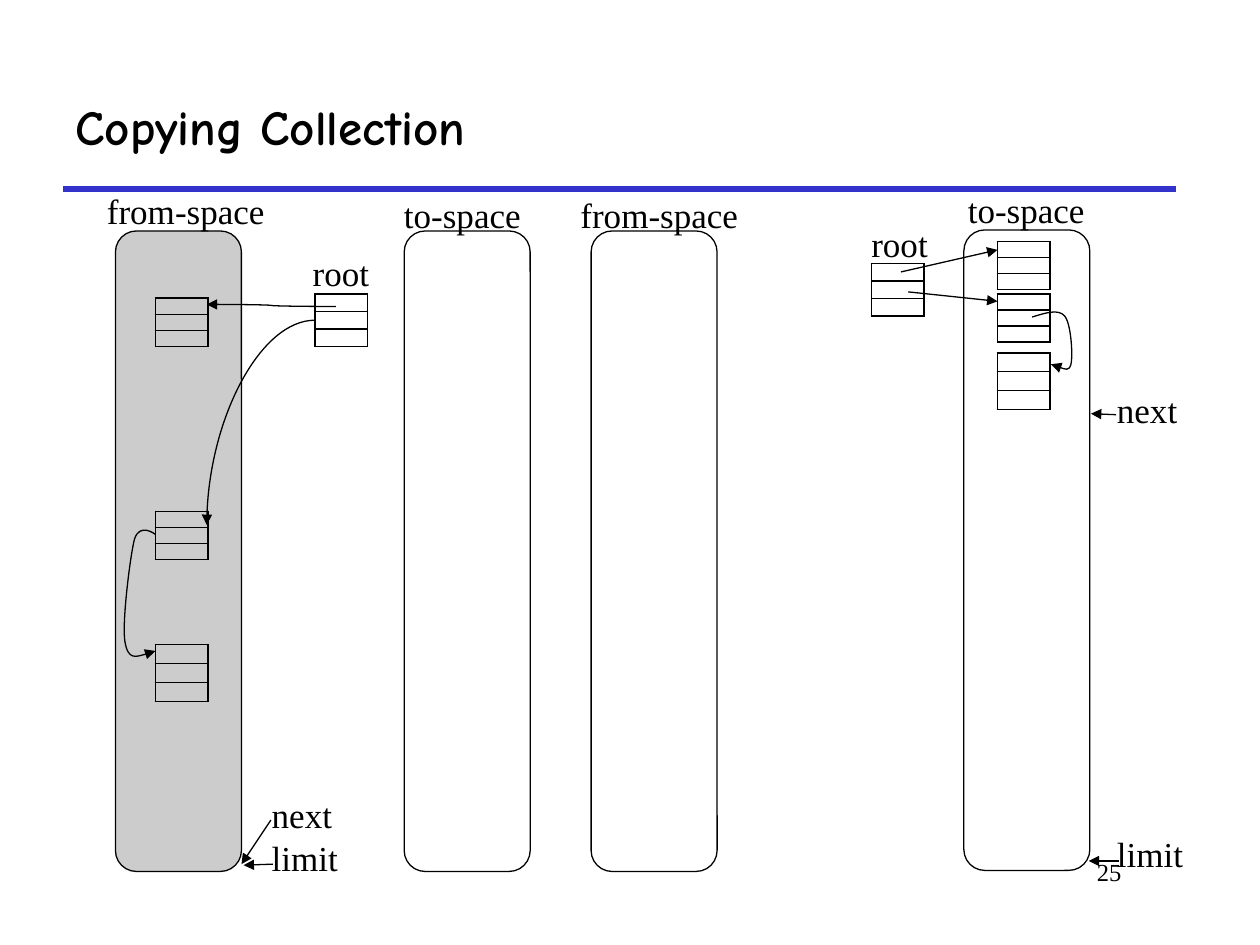
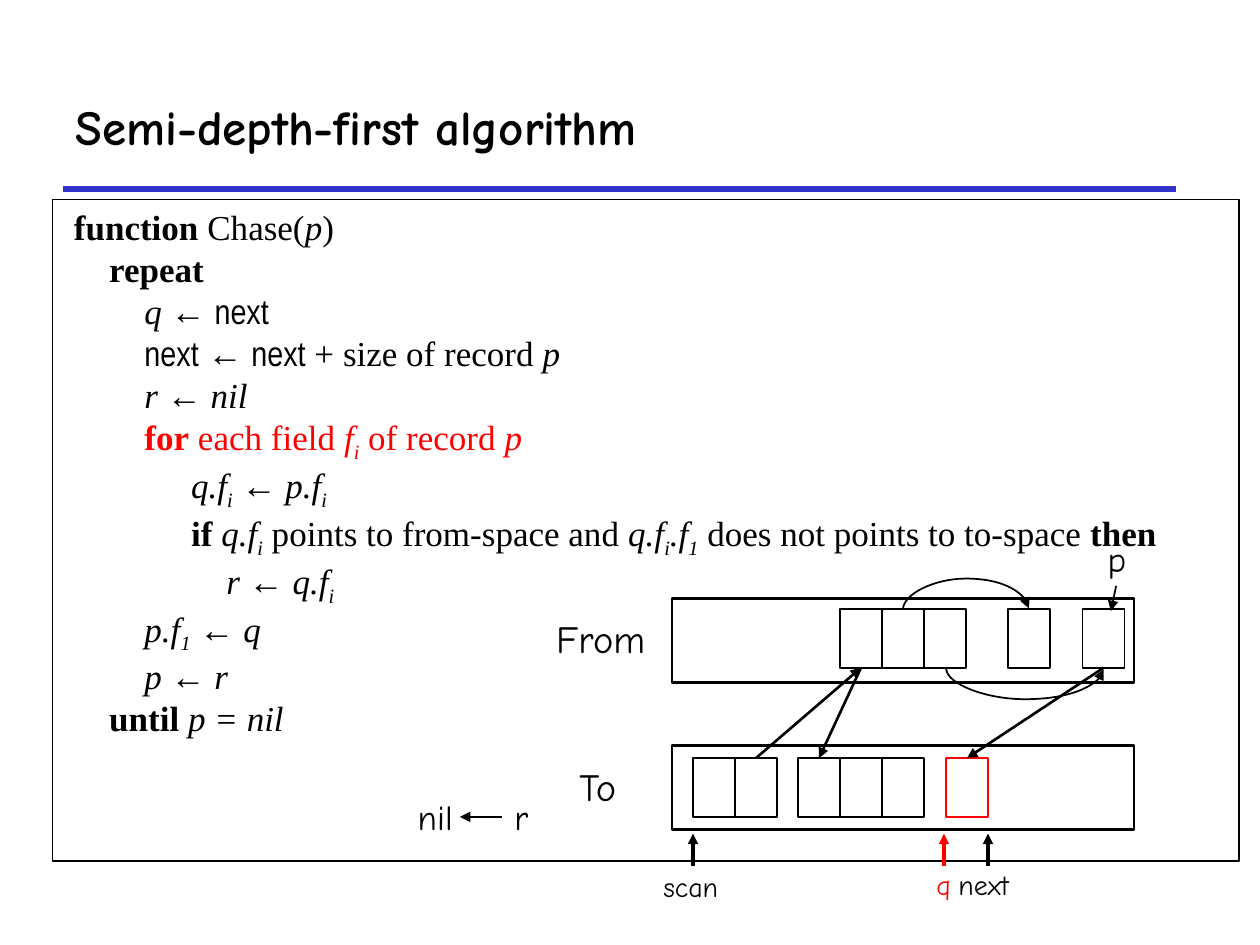
from typing import Any, NamedTuple

from lxml import etree
from pptx import Presentation, util as u
from pptx.dml.color import RGBColor
from pptx.enum import shapes, text
from pptx.oxml.ns import qn

COLUMNS = 120
SLIDE_WIDTH, SLIDE_HEIGHT = u.Inches(10), u.Inches(7.5)
BLACK, RED, RULE_BLUE = "000000", "FF0000", "3333CC"
SERIF, HAND, NARROW = "Times New Roman", "Comic Neue", "Arial Narrow"
RECORD_WIDTH, SPACE_WIDTH, SPACE_HEIGHT = 5, 12, 61
CELL_WIDTH, CELL_HEIGHT = 4, 5.6
Point = tuple[float, float]


class Box(NamedTuple):
    """A frame in grid columns and rows."""
    x: float
    y: float
    width: float
    height: float


class Label(NamedTuple):
    """A short caption with its frame and font."""
    words: str
    box: Box
    size: float = 20
    font: str = SERIF
    color: str = BLACK


class Arrow(NamedTuple):
    """A straight arrow from start to end."""
    start: Point
    end: Point
    weight: float = 0.75
    color: str = BLACK


class Line(NamedTuple):
    """A line of pseudocode: left margin in inches, then styled pieces."""
    margin: float
    pieces: list[tuple[str, str]]


def grid(count: float) -> int:
    """Turn grid columns or rows into a length."""
    return round(SLIDE_WIDTH * count / COLUMNS)


def rgb(value: str) -> RGBColor:
    """Read a hex colour."""
    return RGBColor.from_string(value)


def apply(target: Any, values: dict[str, Any]) -> None:
    """Set every named attribute on the target."""
    for name, value in values.items():
        setattr(target, name, value)


def place(shape: Any, box: Box) -> None:
    """Move a shape into its frame."""
    apply(shape, dict(zip(("left", "top", "width", "height"), map(grid, box))))


def outline(shape: Any, weight: float, color: str = BLACK) -> None:
    """Draw the line of a shape."""
    shape.line.color.rgb = rgb(color)
    shape.line.width = u.Pt(weight)


def point_tail(shape: Any) -> None:
    """Put a triangle at the end of a line."""
    etree.SubElement(shape.line._get_or_add_ln(), qn("a:tailEnd"), type="triangle")


def write(paragraph: Any, words: str, size: float, font: str, color: str = BLACK,
          bold: bool = False, italic: bool = False) -> Any:
    """Add a formatted run."""
    run = paragraph.add_run()
    run.text = words
    apply(run.font, {"size": u.Pt(size), "name": font, "bold": bold, "italic": italic})
    run.font.color.rgb = rgb(color)
    return run


def add_title(slide: Any, words: str) -> None:
    """Fill the title placeholder."""
    title = slide.shapes.title
    place(title, Box(6, 6, 106, 12))
    apply(title.text_frame, {"auto_size": text.MSO_AUTO_SIZE.NONE, "word_wrap": True,
                             "vertical_anchor": text.MSO_ANCHOR.MIDDLE})
    paragraph = title.text_frame.paragraphs[0]
    paragraph.alignment = text.PP_ALIGN.LEFT
    write(paragraph, words, 28, HAND, bold=True)


def add_label(slide: Any, label: Label) -> Any:
    """Add a caption and return its paragraph."""
    shape = slide.shapes.add_textbox(*map(grid, label.box))
    shape.text_frame.word_wrap = False
    paragraph = shape.text_frame.paragraphs[0]
    write(paragraph, label.words, label.size, label.font, label.color)
    return paragraph


def add_connector(slide: Any, kind: Any, start: Point, end: Point,
                  weight: float, color: str = BLACK, head: bool = True) -> Any:
    """Add a connector without shadow."""
    connector = slide.shapes.add_connector(kind, *map(grid, (*start, *end)))
    outline(connector, weight, color)
    if head:
        point_tail(connector)
    etree.SubElement(connector.element.spPr, qn("a:effectLst"))
    return connector


def add_arrow(slide: Any, arrow: Arrow) -> Any:
    """Add a straight arrow."""
    return add_connector(slide, shapes.MSO_CONNECTOR.STRAIGHT, *arrow)


def join(slide: Any, source: Any, source_side: int, target: Any, target_side: int) -> None:
    """Join the sides of two rectangles by an arrow."""
    connector = add_arrow(slide, Arrow((0, 0), (1, 1), 1.5))
    connector.begin_connect(source, source_side)
    connector.end_connect(target, target_side)


def add_arc(slide: Any, center: Point, span: float, upward: bool) -> None:
    """Bow a curved arrow from left to right, three rows deep."""
    x, y = center
    half = span / 2 if upward else -span / 2
    connector = add_connector(slide, shapes.MSO_CONNECTOR.CURVE,
                              (x + 0.06, y + half), (x - 0.06, y - half), 1)
    properties = connector.element.spPr
    properties.find(qn("a:xfrm")).set("rot", str((90 if upward else 270) * 60000))
    geometry = properties.find(qn("a:prstGeom"))
    guides = geometry.find(qn("a:avLst"))
    if guides is None:
        guides = etree.SubElement(geometry, qn("a:avLst"))
    etree.SubElement(guides, qn("a:gd"), name="adj1", fmla="val 2500000")


def add_bezier(slide: Any, points: list[Point]) -> None:
    """Draw an arrow along cubic curves: a start, then three points a curve."""
    corners = [(grid(x), grid(y)) for x, y in points]
    builder = slide.shapes.build_freeform(*corners[0])
    builder.add_line_segments(corners[1:], close=False)
    shape = builder.convert_to_shape()
    shape.shadow.inherit = False
    shape.fill.background()
    outline(shape, 0.75)
    point_tail(shape)
    steps = shape.element.findall(".//" + qn("a:lnTo"))
    parent = steps[0].getparent()
    for index, step in enumerate(steps):
        if index % 3 == 0:
            curve = etree.SubElement(parent, qn("a:cubicBezTo"))
        curve.append(step[0])
        parent.remove(step)


def add_box(slide: Any, box: Box, weight: float, color: str = BLACK,
            kind: Any = shapes.MSO_SHAPE.RECTANGLE) -> Any:
    """Add an unfilled outlined shape."""
    shape = slide.shapes.add_shape(kind, *map(grid, box))
    shape.shadow.inherit = False
    shape.fill.background()
    outline(shape, weight, color)
    return shape


def add_record(slide: Any, x: float, y: float, height: float) -> None:
    """Add a record of three empty fields as a table."""
    frame = slide.shapes.add_table(3, 1, *map(grid, (x, y, RECORD_WIDTH, height)))
    apply(frame.table, {"first_row": False, "horz_banding": False})
    for cell in frame.table.iter_cells():
        apply(cell, dict.fromkeys(
            ("margin_left", "margin_right", "margin_top", "margin_bottom"), 0))
        paragraph = cell.text_frame.paragraphs[0]
        etree.SubElement(paragraph._p, qn("a:endParaRPr"), sz="100")
        properties = cell._tc.get_or_add_tcPr()
        for side in ("L", "R", "T", "B"):
            border = etree.SubElement(properties, qn(f"a:ln{side}"), w=str(u.Pt(1)))
            fill = etree.SubElement(border, qn("a:solidFill"))
            etree.SubElement(fill, qn("a:srgbClr"), val=BLACK)
        cell.fill.background()


def add_space(slide: Any, x: float, y: float, shaded: bool = False) -> None:
    """Add a memory space."""
    shape = add_box(slide, Box(x, y, SPACE_WIDTH, SPACE_HEIGHT), 0.75,
                    kind=shapes.MSO_SHAPE.ROUNDED_RECTANGLE)
    if shaded:
        shape.fill.solid()
        shape.fill.fore_color.rgb = rgb(BLACK)
        color = shape.element.spPr.find(qn("a:solidFill"))[0]
        etree.SubElement(color, qn("a:alpha"), val="20000")


def add_code(slide: Any, lines: list[Line]) -> None:
    """Fill the body placeholder; styles are b, i, n(arrow), s(ubscript), r(ed)."""
    body = slide.placeholders[1]
    place(body, Box(5, 19, 113, 63))
    outline(body, 0.75)
    frame = body.text_frame
    apply(frame, {"auto_size": text.MSO_AUTO_SIZE.NONE, "word_wrap": True})
    for index, line in enumerate(lines):
        paragraph = frame.add_paragraph() if index else frame.paragraphs[0]
        properties = paragraph._p.get_or_add_pPr()
        properties.set("marL", str(u.Inches(line.margin)))
        properties.set("indent", "0")
        etree.SubElement(properties, qn("a:buNone"))
        apply(paragraph, {"space_before": u.Pt(0), "line_spacing": 1.0})
        for words, style in line.pieces:
            run = write(paragraph, words, 20, NARROW if "n" in style else SERIF,
                        RED if "r" in style else BLACK, "b" in style, "i" in style)
            if "s" in style:
                run._r.get_or_add_rPr().set("baseline", "-25000")


def build_copying(slide: Any) -> None:
    """Draw the heap before and after copying."""
    add_title(slide, "Copying Collection")
    number = add_label(slide, Label("25", Box(83, 81, 25, 6), 14))
    number.alignment = text.PP_ALIGN.RIGHT
    for record in [(30, 28, 5), (14.8, 28.4, 4.6), (14.8, 48.7, 4.6), (14.8, 61.4, 5.4),
                   (83, 25.1, 5), (95, 23, 4.6), (95, 28, 4.6), (95, 33.6, 5.4)]:
        add_record(slide, *record)
    curve = shapes.MSO_CONNECTOR.CURVE
    add_connector(slide, curve, (32, 29.2), (19.7, 29), 0.75)
    bend = add_connector(slide, curve, (30, 30.5), (19.7, 50), 0.75)
    bend.element.spPr.find(qn("a:prstGeom")).set("prst", "curvedConnector2")
    add_bezier(slide, [(14.8, 50.9), (14.8, 50.9), (13.3, 49.7), (12.8, 51.4), (12.4, 53),
                       (11.6, 59.3), (11.9, 61.1), (12.2, 62.9), (13.4, 62.5), (14.8, 62)])
    add_bezier(slide, [(98.3, 30.2), (99.6, 29.8), (100.8, 29.4), (101.4, 30.1), (102, 30.8),
                       (102.2, 33.8), (102, 34.7), (101.8, 35.4), (100.9, 35), (100.1, 34.7)])
    add_space(slide, 11, 22, shaded=True)
    for x, y in [(38.5, 22), (56.3, 22), (91.8, 21.9)]:
        add_space(slide, x, y)
    for start, end in [((85.8, 25.9), (95, 23.8)), ((86.5, 27.8), (95, 28.7)),
                       ((106.3, 39.5), (103.9, 39.4)), ((106.6, 82), (103.7, 82)),
                       ((25.8, 78.1), (23, 82.3)), ((26, 82.3), (23.2, 82.4))]:
        add_arrow(slide, Arrow(start, end))
    widths = {"root": 7.8, "from-space": 17.5, "to-space": 13.7, "next": 8.2, "limit": 8.8}
    for words, x, y in [("root", 28.6, 23.4), ("root", 81.8, 20.6), ("from-space", 9, 17.5),
                        ("from-space", 54.1, 17.8), ("to-space", 37.3, 17.8),
                        ("to-space", 91, 17.4), ("next", 105.2, 36.4),
                        ("limit", 105.2, 78.7), ("next", 24.7, 75), ("limit", 24.7, 79.1)]:
        add_label(slide, Label(words, Box(x, y, widths[words], 5.3)))


def build_semi_depth_first(slide: Any) -> None:
    """Show the algorithm beside its two spaces."""
    add_title(slide, "Semi-depth-first algorithm")
    field = [("q.f", "i"), ("i", "is")]
    add_code(slide, [
        Line(0.07, [("function", "b"), (" Chase(", ""), ("p", "i"), (")", "")]),
        Line(0.35, [("repeat", "b")]),
        Line(0.63, [("q", "i"), (" ← ", ""), ("next", "n")]),
        Line(0.63, [("next", "n"), (" ← ", ""), ("next", "n"),
                    (" + size of record ", ""), ("p", "i")]),
        Line(0.63, [("r ← nil", "i")]),
        Line(0.63, [("for", "br"), (" each field ", "r"), ("f", "ir"), ("i", "irs"),
                    (" of record ", "r"), ("p", "ir")]),
        Line(1, [*field, (" ← p.f", "i"), ("i", "is")]),
        Line(1, [("if ", "b"), *field, (" points to from-space and ", ""), *field,
                 (".f", "i"), ("1", "is"), (" does not points to to-space ", ""),
                 ("then", "b")]),
        Line(1.28, [("r", "i"), (" ← ", ""), *field]),
        Line(0.63, [("p.f", "i"), ("1", "is"), (" ← ", ""), ("q", "i")]),
        Line(0.63, [("p ← r", "i")]),
        Line(0.35, [("until ", "b"), ("p = nil", "i")]),
    ])
    for y in (57, 71):
        add_box(slide, Box(64, y, 44, 8), 1.5)
    from_cells = [add_box(slide, Box(x, 58, CELL_WIDTH, CELL_HEIGHT), 1)
                  for x in (80, 84, 88, 96, 103.1)]
    to_cells = [add_box(slide, Box(x, 72.2, CELL_WIDTH, CELL_HEIGHT), 1)
                for x in (66, 70, 76, 80, 84)]
    new_cell = add_box(slide, Box(90.1, 72.2, CELL_WIDTH, CELL_HEIGHT), 1, RED)
    join(slide, to_cells[1], 0, from_cells[0], 2)
    join(slide, from_cells[0], 2, to_cells[2], 0)
    join(slide, from_cells[4], 2, new_cell, 0)
    add_arc(slide, (92, 58), 12, upward=True)
    add_arc(slide, (97.6, 63.7), 15, upward=False)
    for x, color in [(66, BLACK), (89.9, RED), (94.1, BLACK)]:
        add_arrow(slide, Arrow((x, 82.5), (x, 79.4), 2, color))
    add_arrow(slide, Arrow((106.3, 55.8), (105.8, 58.2), 1))
    add_arrow(slide, Arrow((47.8, 77.8), (43.8, 77.8), 1.5))
    for words, box, size, color in [
            ("From", Box(51.8, 58, 11.3, 5.6), 22, BLACK),
            ("To", Box(54, 72.1, 7, 5.6), 22, BLACK),
            ("scan", Box(62, 82.2, 7.9, 4.4), 16, BLACK),
            ("next", Box(90.1, 82, 8.2, 4.4), 16, BLACK),
            ("q", Box(88, 82, 3.8, 4.4), 16, RED),
            ("p", Box(104.3, 50.6, 4.2, 5.3), 20, BLACK),
            ("nil", Box(38.6, 75.2, 6.1, 5.3), 20, BLACK),
            ("r", Box(47.8, 75.2, 4.1, 5.3), 20, BLACK)]:
        add_label(slide, Label(words, box, size, HAND, color))


def main() -> None:
    """Build and save both slides."""
    presentation = Presentation()
    apply(presentation, {"slide_width": SLIDE_WIDTH, "slide_height": SLIDE_HEIGHT})
    for layout, build in [(5, build_copying), (1, build_semi_depth_first)]:
        build(presentation.slides.add_slide(presentation.slide_layouts[layout]))
    rule = add_connector(presentation.slides[0], shapes.MSO_CONNECTOR.STRAIGHT,
                         (6, 18), (112, 18), 3, RULE_BLUE, head=False)
    presentation.slide_master.shapes.element.append(rule.element)
    presentation.save("out.pptx")


if __name__ == "__main__":
    main()
